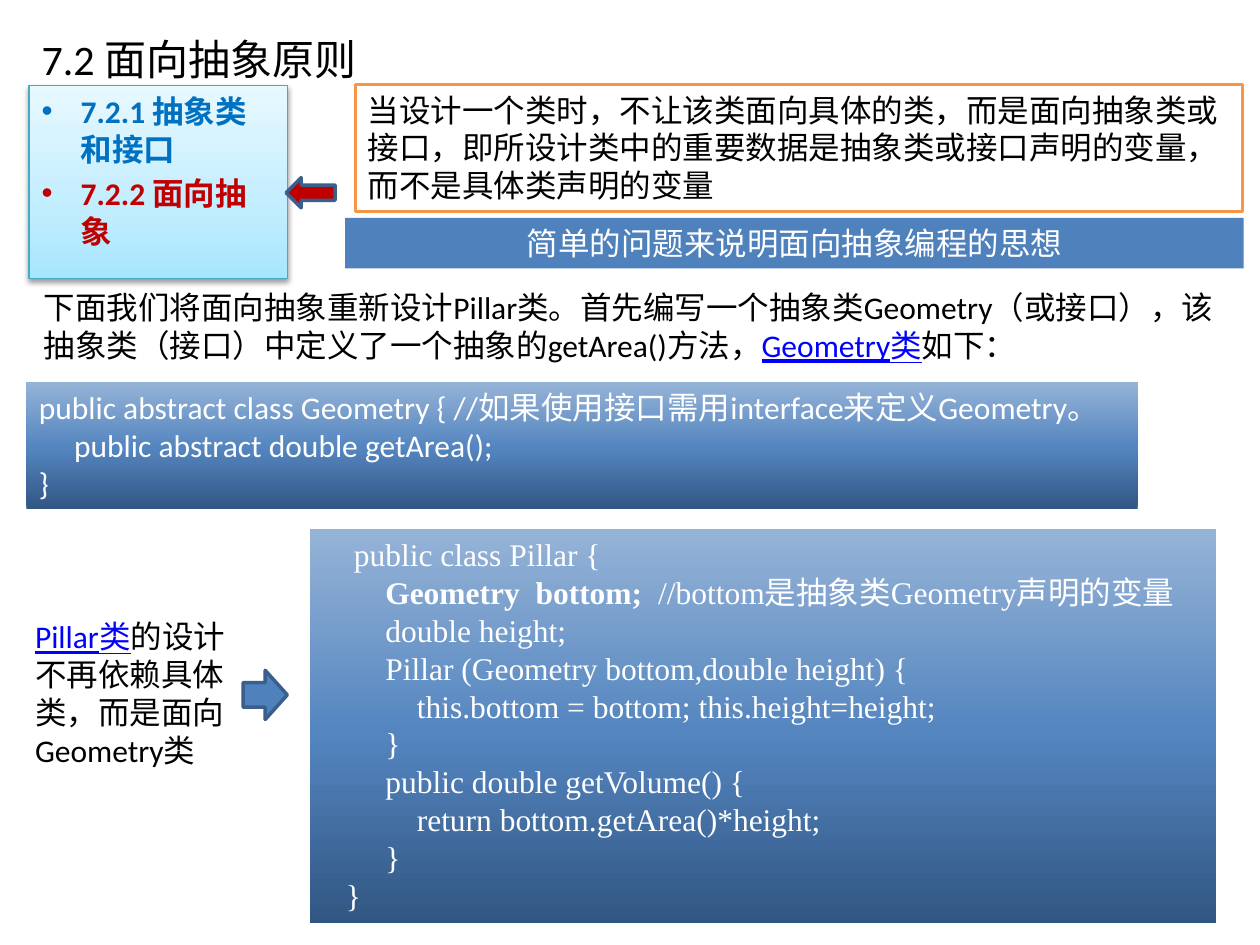
"""Build the slide on programming to abstractions."""
from dataclasses import dataclass
from pptx import Presentation
from pptx.dml.color import RGBColor as RGB
from pptx.enum.shapes import MSO_SHAPE as Kind
from pptx.enum.text import MSO_ANCHOR as Anchor, MSO_AUTO_SIZE as Fit, PP_ALIGN as Align
from pptx.oxml import parse_xml
from pptx.oxml.ns import nsdecls
from pptx.util import Inches, Pt

COLS, ROWS = 100, 75
HEX = {
    "black": "000000", "white": "FFFFFF", "blue": "4F81BD", "edge": "3A5F8C",
    "link": "0000FF", "sky": "0070C0", "red": "C00000", "orange": "F79646",
    "teal": "46AAC5",
}
DEEP = ((0, "315683"), (48, "5485BF"), (100, "95B3D7"))
PALE = ((0, "A7E6FF"), (35, "C1EDFF"), (100, "E7F8FF"))
STEP = 0.25


@dataclass
class Box:
    """Place on the grid: left column, top row, width and height."""
    col: float
    row: float
    wide: float
    high: float


@dataclass
class Bit:
    """Stretch of text with one look."""
    text: str
    color: str = "black"
    bold: bool = False
    under: bool = False


@dataclass
class Line:
    """Paragraph made of bits."""
    bits: list[Bit]
    left: float = 0
    hang: float = 0
    align: Align = Align.LEFT


def place(shape, box: Box) -> None:
    """Move a shape to its place on the grid."""
    shape.left, shape.width = (int(deck.slide_width * n / COLS) for n in (box.col, box.wide))
    shape.top, shape.height = (int(deck.slide_height * n / ROWS) for n in (box.row, box.high))


def write(shape, lines: list[Line], size: int = 18, font: str = "Calibri",
          anchor: Anchor = Anchor.TOP) -> None:
    """Fill a shape with formatted paragraphs."""
    frame = shape.text_frame
    frame.word_wrap, frame.auto_size, frame.vertical_anchor = True, Fit.NONE, anchor
    for i, line in enumerate(lines):
        para = frame.add_paragraph() if i else frame.paragraphs[0]
        para.alignment = line.align
        if line.left:
            props = para._p.get_or_add_pPr()
            props.set("marL", str(Inches(line.left)))
            props.set("indent", str(Inches(line.hang)))
        for bit in line.bits:
            run = para.add_run()
            run.text = bit.text
            run.font.size, run.font.name = Pt(size), font
            run.font.bold, run.font.underline = bit.bold, bit.under
            run.font.color.rgb = RGB.from_string(HEX[bit.color])


def blend(shape, stops: tuple) -> None:
    """Give a shape an upward gradient."""
    shape.fill.gradient()
    shape.fill.gradient_angle = 270
    marks = "".join(f'<a:gs pos="{at * 1000}"><a:srgbClr val="{tint}"/></a:gs>' for at, tint in stops)
    fresh = parse_xml(f'<a:gsLst {nsdecls("a")}>{marks}</a:gsLst>')
    grad = shape._element.spPr.find(".//{*}gradFill")
    grad.replace(grad.find("{*}gsLst"), fresh)
    grad.find("{*}lin").set("ang", "16200000")


def edge(shape, color: str, width: float) -> None:
    """Outline a shape."""
    shape.line.color.rgb = RGB.from_string(HEX[color])
    shape.line.width = Pt(width)


def draw(box: Box, fill: str | tuple, rim: str = "", kind: Kind = Kind.RECTANGLE):
    """Add a flat or gradient shape."""
    shape = slide.shapes.add_shape(kind, 0, 0, 0, 0)
    place(shape, box)
    shape.shadow.inherit = False
    if isinstance(fill, tuple):
        blend(shape, fill)
    else:
        shape.fill.solid()
        shape.fill.fore_color.rgb = RGB.from_string(HEX[fill])
    if rim:
        edge(shape, rim, 2)
    else:
        shape.line.fill.background()
    return shape


def note(box: Box, bits: list[Bit]) -> None:
    """Add a plain text box."""
    shape = slide.shapes.add_textbox(0, 0, 0, 0)
    place(shape, box)
    write(shape, [Line(bits)])


def code(text: str, depth: float, align: Align = Align.JUSTIFY) -> Line:
    """Make a line of code, indented by depth."""
    return Line([Bit(text, "white")], depth * STEP, 0, align)


deck = Presentation()
deck.slide_width, deck.slide_height = Inches(10), Inches(7.5)
slide = deck.slides.add_slide(deck.slide_layouts[1])

title = slide.shapes.title
place(title, Box(2.3, 0.6, 28.8, 6.6))
write(title, [Line([Bit("7.2 面向抽象原则")])], 24, anchor=Anchor.BOTTOM)

menu = slide.placeholders[1]
place(menu, Box(2.3, 6.8, 20.5, 15.3))
blend(menu, PALE)
edge(menu, "teal", 0.75)
menu._element.spPr.append(parse_xml(
    f'<a:effectLst {nsdecls("a")}><a:outerShdw blurRad="{Pt(3.1)}" dist="{Pt(1.6)}" '
    'dir="5400000" rotWithShape="0"><a:srgbClr val="000000"><a:alpha val="38000"/>'
    '</a:srgbClr></a:outerShdw></a:effectLst>'))
write(menu, [Line([Bit(text, color, True)], 0.31, -0.31) for text, color in (
    ("7.2.1 抽象类和接口", "sky"), ("7.2.2 面向抽象", "red"))])

rule = draw(Box(28.2, 6.7, 70.4, 10.1), "white", "orange")
write(rule, [Line([Bit("当设计一个类时，不让该类面向具体的类，而是面向抽象类或接口，"
                       "即所设计类中的重要数据是抽象类或接口声明的变量，而不是具体类声明的变量")])])
idea = draw(Box(27.4, 17.3, 71.3, 4), "blue")
write(idea, [Line([Bit("简单的问题来说明面向抽象编程的思想", "white")], align=Align.CENTER)])
draw(Box(22.7, 14.1, 3.9, 2.4), "red", "edge", Kind.LEFT_ARROW)

note(Box(2.5, 22.4, 95.6, 7.1), [
    Bit("下面我们将面向抽象重新设计Pillar类。首先编写一个抽象类Geometry（或接口），"
        "该抽象类（接口）中定义了一个抽象的getArea()方法，"),
    Bit("Geometry类", "link", under=True), Bit("如下：")])

base = draw(Box(2.1, 30.3, 88.2, 10.1), DEEP)
write(base, [code(text, depth, Align.LEFT) for text, depth in (
    ("public abstract class Geometry { //如果使用接口需用interface来定义Geometry。", 0),
    ("public abstract double getArea();", 1.12), ("}", 0))])

note(Box(1.8, 48.5, 19, 13.1), [
    Bit("Pillar类", "link", under=True), Bit("的设计不再依赖具体类，而是面向Geometry类")])

body = draw(Box(24.6, 42, 71.9, 31.3), DEEP)
field = Line([Bit("Geometry  bottom;  ", "white", True),
              Bit("//bottom是抽象类Geometry声明的变量", "white")], 2 * STEP, 0, Align.JUSTIFY)
rest = [code(text, depth) for text, depth in (
    ("double height;", 2), ("Pillar (Geometry bottom,double height) {", 2),
    ("this.bottom = bottom; this.height=height;", 3), ("}", 2),
    ("public double getVolume() {", 2), ("return bottom.getArea()*height;", 3),
    ("}", 2))]
write(body, [code("public class Pillar {", 1), field, *rest, code("}", 0.75, Align.LEFT)],
      font="Times New Roman")
draw(Box(19.3, 53.2, 3.5, 3.9), "blue", "edge", Kind.RIGHT_ARROW)

deck.save("out.pptx")
